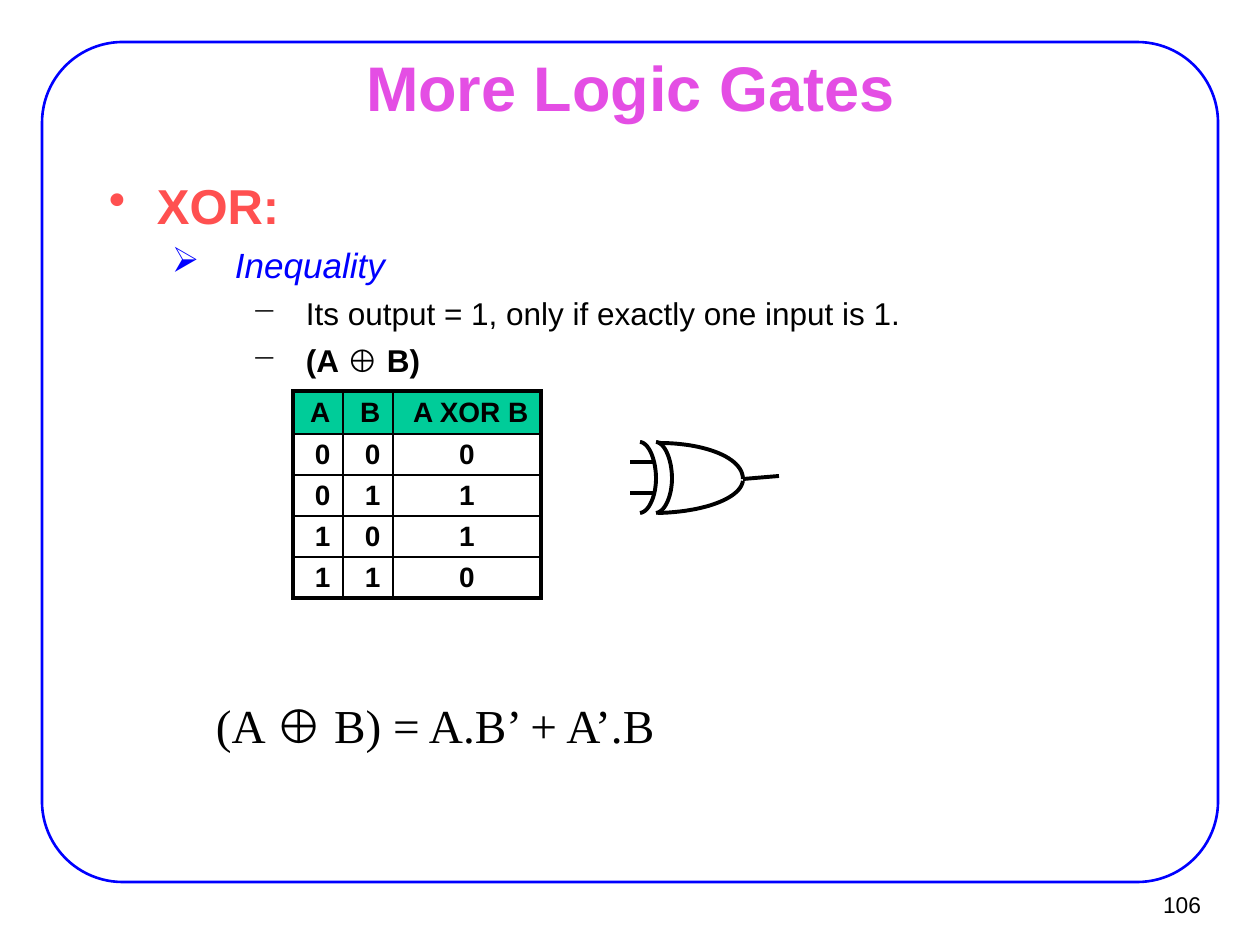
from pptx import Presentation
from pptx import util as u
from pptx.dml.color import RGBColor
from pptx.enum import shapes, text
from pptx.oxml.xmlchemy import OxmlElement

PX = 914400 / 126
LEFT, CENTER, RIGHT = text.PP_ALIGN.LEFT, text.PP_ALIGN.CENTER, text.PP_ALIGN.RIGHT
TOP, MIDDLE = text.MSO_ANCHOR.TOP, text.MSO_ANCHOR.MIDDLE
BLACK, BLUE, PINK, RED, GREEN = "000000", "0000FF", "E44EE4", "FF5050", "00CC99"


def px(value):
    return u.Emu(round(value * PX))


def color(value):
    return RGBColor.from_string(value)


class SlideBuilder:
    """Holds the style and the current slide."""

    font, serif = "Arial", "Times New Roman"
    thin, thick = 1, 2.25

    def __init__(self, slide):
        self.slide = slide

    def line_style(self, shape, ink=BLACK, width=2.25):
        shape.line.color.rgb = color(ink)
        shape.line.width = u.Pt(width)

    def frame(self, x, y, width, height, radius):
        shape = self.slide.shapes.add_shape(
            shapes.MSO_SHAPE.ROUNDED_RECTANGLE, px(x), px(y), px(width), px(height))
        shape.adjustments[0] = radius
        shape.shadow.inherit = False
        shape.fill.background()
        self.line_style(shape, BLUE, 1.5)

    def runs(self, paragraph, parts, size, ink=BLACK, font=None, italic=False):
        for words, bold in parts:
            run = paragraph.add_run()
            run.text = words
            run.font.name = font or self.font
            run.font.size = u.Pt(size)
            run.font.bold = bold
            run.font.italic = italic
            run.font.color.rgb = color(ink)

    def text_frame(self, x, y, width, height, anchor=TOP, inset=(13, 6)):
        box = self.slide.shapes.add_textbox(px(x), px(y), px(width), px(height))
        frame = box.text_frame
        frame.word_wrap = True
        frame.vertical_anchor = anchor
        frame.margin_left = frame.margin_right = px(inset[0])
        frame.margin_top = frame.margin_bottom = px(inset[1])
        return frame

    def label(self, box, parts, size, align=LEFT, anchor=MIDDLE, **style):
        paragraph = self.text_frame(*box, anchor).paragraphs[0]
        paragraph.alignment = align
        self.runs(paragraph, parts, size, **style)

    def bullets(self, box, items):
        frame = self.text_frame(*box, inset=(14, 8))
        for index, (level, mark, left, hang, size, ink, italic, parts) in enumerate(items):
            paragraph = frame.add_paragraph() if index else frame.paragraphs[0]
            paragraph.level = level
            paragraph.space_before = u.Pt(5 if index else 3)
            properties = paragraph._p.get_or_add_pPr()
            properties.set("marL", str(px(left)))
            properties.set("indent", str(-px(hang)))
            bullet = OxmlElement("a:buChar")
            bullet.set("char", mark)
            properties.append(bullet)
            self.runs(paragraph, parts, size, ink, italic=italic)

    def border(self, cell, side, width):
        line = OxmlElement(f"a:ln{side}")
        line.set("w", str(u.Pt(width)))
        fill = OxmlElement("a:solidFill")
        ink = OxmlElement("a:srgbClr")
        ink.set("val", BLACK)
        fill.append(ink)
        line.append(fill)
        cell._tc.get_or_add_tcPr().append(line)

    def table(self, x, y, widths, heights, rows):
        table = self.slide.shapes.add_table(
            len(rows), len(widths), px(x), px(y), px(sum(widths)), px(sum(heights))).table
        table.first_row = table.horz_banding = False
        for column, width in zip(table.columns, widths):
            column.width = px(width)
        for row, height in zip(table.rows, heights):
            row.height = px(height)
        last_row, last_column = len(rows) - 1, len(widths) - 1
        for r, values in enumerate(rows):
            for c, value in enumerate(values):
                cell = table.cell(r, c)
                outer = {"L": c == 0, "R": c == last_column, "T": r == 0, "B": r == last_row}
                for side, is_outer in outer.items():
                    self.border(cell, side, self.thick if is_outer else self.thin)
                if r == 0:
                    cell.fill.solid()
                    cell.fill.fore_color.rgb = color(GREEN)
                else:
                    cell.fill.background()
                cell.margin_top = cell.margin_bottom = 0
                cell.vertical_anchor = MIDDLE
                paragraph = cell.text_frame.paragraphs[0]
                paragraph.alignment = CENTER if r and c == last_column else RIGHT
                self.runs(paragraph, [(value, True)], 16)

    def line(self, x1, y1, x2, y2):
        connector = self.slide.shapes.add_connector(
            shapes.MSO_CONNECTOR.STRAIGHT, px(x1), px(y1), px(x2), px(y2))
        self.line_style(connector)
        connector._element.spPr.append(OxmlElement("a:effectLst"))

    def curve(self, *controls, steps=24):
        """Draws a cubic curve through its four control points."""
        points = []
        for step in range(steps + 1):
            t = step / steps
            weights = ((1 - t) ** 3, 3 * t * (1 - t) ** 2, 3 * t * t * (1 - t), t ** 3)
            points.append(tuple(
                px(sum(w * p[axis] for w, p in zip(weights, controls))) for axis in (0, 1)))
        builder = self.slide.shapes.build_freeform(*points[0])
        builder.add_line_segments(points[1:], close=False)
        shape = builder.convert_to_shape()
        shape.shadow.inherit = False
        shape.fill.background()
        self.line_style(shape)


def main():
    presentation = Presentation()
    presentation.slide_width, presentation.slide_height = u.Inches(10), u.Inches(7.5)
    page = SlideBuilder(presentation.slides.add_slide(presentation.slide_layouts[6]))

    # Frame, page number and title
    page.frame(42, 42, 1176, 840, 0.096)
    page.label((1137, 881, 77, 46), [("106", False)], 13, RIGHT)
    page.label((95, 55, 1071, 62), [("More Logic Gates", True)], 36, CENTER, ink=PINK)

    # Definition of the gate
    page.bullets((95, 168, 1071, 640), [
        (0, "•", 48, 48, 28, RED, False, [("XOR:", True)]),
        (1, "➢", 126, 63, 20, BLUE, True, [("Inequality", False)]),
        (2, "−", 197, 54, 18, BLACK, False,
         [("Its output = 1, only if exactly one input is 1.", False)]),
        (2, "−", 197, 54, 18, BLACK, False, [("(A ", True), ("⊕", False), (" B)", True)]),
    ])

    # Truth table
    inputs = [(a, b) for a in (0, 1) for b in (0, 1)]
    rows = [("A", "B", "A XOR B")] + [(str(a), str(b), str(a ^ b)) for a, b in inputs]
    page.table(293, 391, [50, 50, 148], [43] + [41] * len(inputs), rows)

    # Gate symbol: inputs and output
    for y in (462, 493):
        page.line(630, y, 654, y)
    page.line(743, 479, 779, 476)

    # Gate symbol: double back, then the body
    for x in (640, 656):
        page.curve((x, 442), (x + 9, 443), (x + 16, 460), (x + 16, 479))
        page.curve((x + 16, 478), (x + 16, 496), (x + 9, 512), (x, 513))
    page.curve((658, 443), (706, 443), (743, 458), (743, 479))
    page.curve((743, 481), (740, 499), (703, 512), (658, 513))

    # Equivalent expression
    page.label((203, 690, 481, 126),
               [("(A ", False), ("⊕", True), (" B) = A.B’ + A’.B", False)],
               27, anchor=TOP, font=page.serif)

    presentation.save("out.pptx")


if __name__ == "__main__":
    main()
